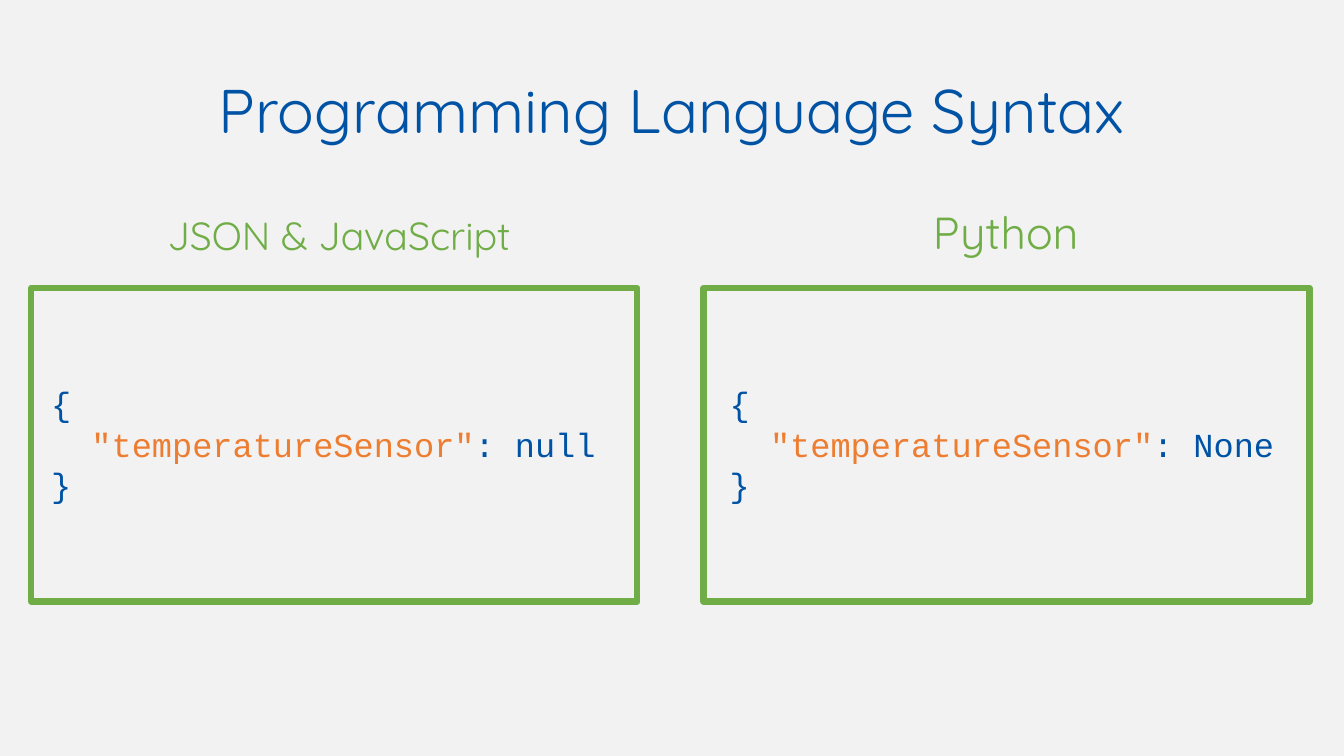
from pptx import Presentation
from pptx.dml.color import RGBColor
from pptx.enum import shapes, text
from pptx.util import Cm, Pt

BLUE = RGBColor(0x00, 0x52, 0xA5)
GREEN = RGBColor(0x70, 0xAD, 0x47)
ORANGE = RGBColor(0xED, 0x7D, 0x31)
GREY = RGBColor(0xF2, 0xF2, 0xF2)


def add_run(p, words, **fmt):
    r = p.add_run()
    r.text = words
    color = fmt.pop("color")
    for key, value in fmt.items():
        setattr(r.font, key, value)
    r.font.color.rgb = color


prs = Presentation()
prs.slide_width, prs.slide_height = Cm(33.87), Cm(19.05)
s = prs.slides.add_slide(prs.slide_layouts[5])
s.background.fill.solid()
s.background.fill.fore_color.rgb = GREY

# Title
title = s.shapes.title
title.left, title.top, title.width, title.height = Cm(2.33), Cm(1.01), Cm(29.21), Cm(3.68)
tf = title.text_frame
tf.vertical_anchor = text.MSO_ANCHOR.MIDDLE
p = tf.paragraphs[0]
p.alignment = text.PP_ALIGN.CENTER
p.line_spacing = 0.9
add_run(p, "Programming Language Syntax", name="Quicksand", size=Pt(44), color=BLUE)

# Language columns: heading, its place and size, frame left, code left, empty value
columns = [
    ("JSON & JavaScript", (3.81, 5.21, 9.47, 1.45), 28, 0.79, 1.04, "null"),
    ("Python", (23.19, 5.03, 4.32, 1.63), 32, 17.73, 18.14, "None"),
]
for heading, place, size, frame_left, code_left, value in columns:
    # Green frame
    sp = s.shapes.add_shape(shapes.MSO_SHAPE.RECTANGLE,
                            Cm(frame_left), Cm(7.26), Cm(15.27), Cm(7.9))
    sp.shadow.inherit = False
    sp.fill.background()
    sp.line.color.rgb = GREEN
    sp.line.width = Pt(4.5)

    # Heading
    tf = s.shapes.add_textbox(*map(Cm, place)).text_frame
    tf.word_wrap = False
    tf.auto_size = text.MSO_AUTO_SIZE.SHAPE_TO_FIT_TEXT
    p = tf.paragraphs[0]
    p.alignment = text.PP_ALIGN.CENTER
    add_run(p, heading, name="Quicksand", size=Pt(size), color=GREEN)

    # Code
    tf = s.shapes.add_textbox(Cm(code_left), Cm(9.53), Cm(15.01), Cm(3.33)).text_frame
    tf.word_wrap = True
    tf.auto_size = text.MSO_AUTO_SIZE.SHAPE_TO_FIT_TEXT
    lines = [
        [("{", BLUE)],
        [('  "temperatureSensor"', ORANGE), (f": {value}", BLUE)],
        [("}", BLUE)],
    ]
    for i, line in enumerate(lines):
        p = tf.add_paragraph() if i else tf.paragraphs[0]
        for words, color in line:
            add_run(p, words, name="Courier New", size=Pt(24), color=color)

prs.save("out.pptx")
